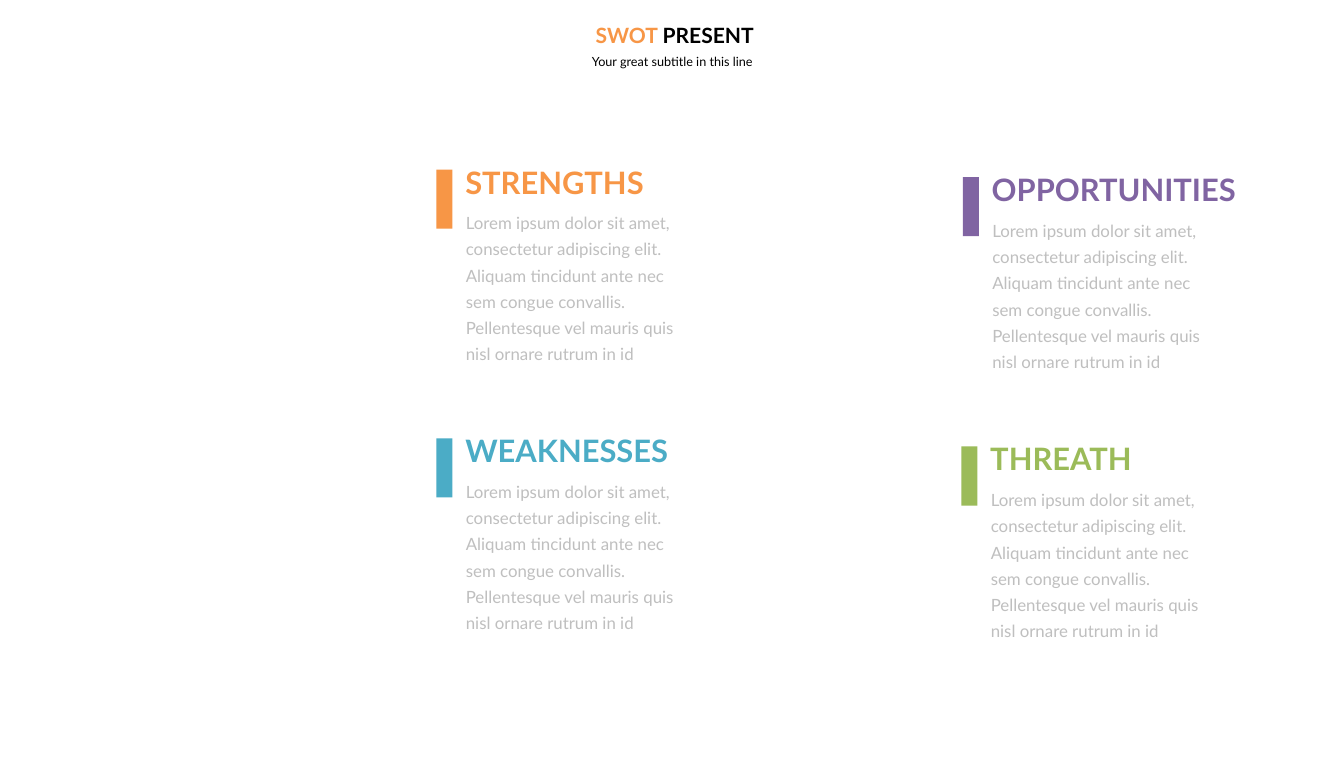
from dataclasses import dataclass

from pptx import Presentation
from pptx.dml.color import RGBColor
from pptx.enum.shapes import MSO_SHAPE
from pptx.enum.text import MSO_ANCHOR as Anchor, MSO_AUTO_SIZE as AutoSize, PP_ALIGN as Align
from pptx.util import Inches, Pt

COLUMNS, ROWS = 266, 150
CELL = Inches(0.1)
BODY = ("Lorem ipsum dolor sit amet, consectetur adipiscing elit. Aliquam tincidunt ante nec "
        "sem congue convallis. Pellentesque vel mauris quis nisl ornare rutrum in id")


@dataclass(frozen=True)
class Theme:
    """Colours, font and type sizes of the slide."""
    font: str = "Lato"
    black: str = "000000"
    grey: str = "BFBFBF"
    orange: str = "F79646"
    blue: str = "4BACC6"
    purple: str = "8064A2"
    green: str = "9BBB59"
    title: int = 30
    subtitle: int = 18
    heading: int = 44
    body: int = 24


@dataclass(frozen=True)
class Box:
    """A rectangle in grid columns and rows."""
    left: float
    top: float
    width: float
    height: float

    def inner(self, left, top, width, height):
        """Return a box placed relative to this one."""
        return Box(self.left + left, self.top + top, width, height)

    def lengths(self):
        """Return left, top, width and height as slide lengths."""
        return [round(value * CELL) for value in (self.left, self.top, self.width, self.height)]


THEME = Theme()


def write(shape, runs, size, bold=False, align=Align.LEFT, anchor=Anchor.TOP,
          inset=(0.1, 0.05), spacing=None):
    """Fill a shape with one paragraph of (text, colour) runs."""
    frame = shape.text_frame
    frame.word_wrap = True
    frame.auto_size = AutoSize.SHAPE_TO_FIT_TEXT
    frame.vertical_anchor = anchor
    frame.margin_left = frame.margin_right = Inches(inset[0])
    frame.margin_top = frame.margin_bottom = Inches(inset[1])
    paragraph = frame.paragraphs[0]
    paragraph.alignment = align
    if spacing:
        paragraph.line_spacing = spacing
    for text, colour in runs:
        run = paragraph.add_run()
        run.text = text
        run.font.name = THEME.font
        run.font.size = Pt(size)
        run.font.bold = bold
        run.font.color.rgb = RGBColor.from_string(colour)


def add_header(slide, box):
    """Place the title and the subtitle in the box."""
    title = slide.shapes.title
    title.left, title.top, title.width, title.height = box.inner(0, 0, box.width, 7.1).lengths()
    write(title, [("SWOT ", THEME.orange), ("PRESENT", THEME.black)], THEME.title,
          bold=True, align=Align.CENTER, inset=(0.2, 0.1))
    subtitle = slide.shapes.add_textbox(*box.inner(9.2, 6.1, 81.7, 5.5).lengths())
    write(subtitle, [("Your great subtitle in this line", THEME.black)], THEME.subtitle,
          align=Align.CENTER, inset=(0.24, 0.12))


def add_quadrant(slide, box, heading, colour):
    """Group the body text, heading and colour bar of one quadrant."""
    shapes = slide.shapes.add_group_shape().shapes
    body = shapes.add_textbox(*box.inner(3.15, 7.6, 48, 34.2).lengths())
    write(body, [(BODY, THEME.grey)], THEME.body, anchor=Anchor.MIDDLE,
          inset=(0.27, 0.13), spacing=1.3)
    title = shapes.add_textbox(*box.inner(4.75, 0, 55.2, 8.4).lengths())
    write(title, [(heading, colour)], THEME.heading, bold=True)
    bar = shapes.add_shape(MSO_SHAPE.RECTANGLE, *box.inner(0, 1.75, 3.2, 11.7).lengths())
    bar.shadow.inherit = False
    bar.fill.solid()
    bar.fill.fore_color.rgb = RGBColor.from_string(colour)
    bar.line.fill.background()


def main():
    """Build the SWOT slide and save it."""
    presentation = Presentation()
    presentation.slide_width = COLUMNS * CELL
    presentation.slide_height = ROWS * CELL
    slide = presentation.slides.add_slide(presentation.slide_layouts[5])
    add_header(slide, Box(83, 3.4, 101.1, 11.6))
    quadrants = [
        (86.35, 31.8, "STRENGTHS", THEME.orange),
        (86.35, 85, "WEAKNESSES", THEME.blue),
        (190.55, 33.3, "OPPORTUNITIES", THEME.purple),
        (190.25, 86.6, "THREATH", THEME.green),
    ]
    for left, top, heading, colour in quadrants:
        add_quadrant(slide, Box(left, top, 60, 41.8), heading, colour)
    presentation.save("out.pptx")


if __name__ == "__main__":
    main()
